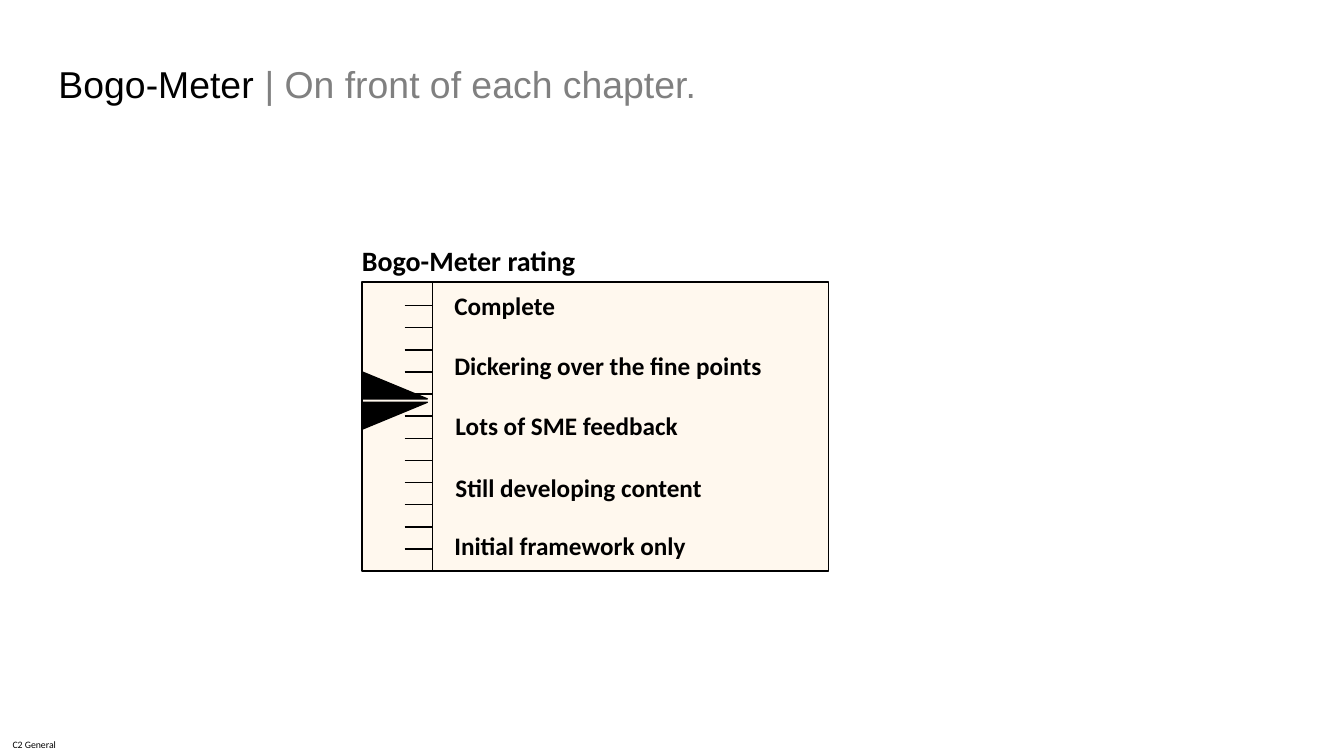
from pptx import Presentation
from pptx.dml.color import RGBColor
from pptx.enum.shapes import MSO_CONNECTOR, MSO_SHAPE
from pptx.enum.text import MSO_ANCHOR, MSO_AUTO_SIZE, PP_ALIGN
from pptx.oxml.ns import qn
from pptx.util import Cm, Pt
from lxml import etree

STRAIGHT = MSO_CONNECTOR.STRAIGHT
RECT, TRIANGLE = MSO_SHAPE.RECTANGLE, MSO_SHAPE.RIGHT_TRIANGLE
TOP, MIDDLE = MSO_ANCHOR.TOP, MSO_ANCHOR.MIDDLE
LEFT, CENTER = PP_ALIGN.LEFT, PP_ALIGN.CENTER
GROW = MSO_AUTO_SIZE.SHAPE_TO_FIT_TEXT
NO_AUTOSIZE = MSO_AUTO_SIZE.NONE

COLORS = {"ink": "000000", "muted": "808080", "paper": "FFFFFF", "cream": "FFF8EE"}

# Rating, then the left and top of its box inside the scale, and its width, in cm
RATINGS = [
    ("Complete", 2.08, 0.08, 3.07),
    ("Dickering over the fine points", 2.08, 1.6, 8.33),
    ("Lots of SME feedback", 2.11, 3.1, 6.17),
    ("Still developing content", 2.11, 4.67, 6.76),
    ("Initial framework only", 2.08, 6.12, 6.4),
]
TICK_COUNT = 13


def rgb(name):
    return RGBColor.from_string(COLORS[name])


def format_run(r, size, font="Calibri", color="ink", bold=False):
    r.font.name, r.font.size, r.font.bold = font, Pt(size), bold
    r.font.color.rgb = rgb(color)


def add_block(s, kind, box, fill, line):
    """Add a preset shape; box is left, top, width, height in cm."""
    sp = s.shapes.add_shape(kind, *map(Cm, box))
    sp.shadow.inherit = False
    sp.fill.solid()
    sp.fill.fore_color.rgb = rgb(fill)
    sp.line.color.rgb = rgb(line)
    sp.line.width = Pt(1)
    return sp


def add_label(s, text, box, size, bold=False):
    sp = s.shapes.add_textbox(*map(Cm, box))
    tf = sp.text_frame
    tf.text = text
    tf.word_wrap = False
    tf.auto_size = GROW
    format_run(tf.paragraphs[0].runs[0], size, bold=bold)
    return tf


def add_rule(s, x1, y1, x2, y2):
    line = s.shapes.add_connector(STRAIGHT, Cm(x1), Cm(y1), Cm(x2), Cm(y2))
    line.line.color.rgb = rgb("ink")
    line.line.width = Pt(1)
    etree.SubElement(line.element.spPr, qn("a:effectLst"))


def add_title(s, left, top, width, height):
    title = s.shapes.title
    title.left, title.top, title.width, title.height = map(Cm, (left, top, width, height))
    tf = title.text_frame
    tf.vertical_anchor = MIDDLE
    tf.word_wrap = True
    tf.auto_size = NO_AUTOSIZE
    p = tf.paragraphs[0]
    p.alignment = LEFT
    p.line_spacing = 0.9
    for text, color in (("Bogo-Meter ", "ink"), ("| On front of each chapter.", "muted")):
        r = p.add_run()
        r.text = text
        format_run(r, 26.7, "Arial", color)


def add_footer(s, left, top, width, height):
    tf = add_label(s, "C2 General", (left, top, width, height), 7)
    tf.margin_left = tf.margin_right = tf.margin_top = tf.margin_bottom = 0
    tf.vertical_anchor = MIDDLE
    tf.word_wrap = True
    tf.paragraphs[0].alignment = CENTER


def add_needle(s, left, top, width, height):
    """Add two mirrored triangles with a thin gap between them."""
    half, step = 0.47 * height, 0.53 * height
    add_block(s, TRIANGLE, (left, top, width, half), "ink", "ink")
    lower = add_block(s, TRIANGLE, (left, top + step, width, half), "ink", "ink")
    lower.element.spPr.get_or_add_xfrm().set("flipV", "1")


def add_scale(s, left, top, width, height):
    add_block(s, RECT, (left, top, width, height), "cream", "ink")
    axis = left + 1.78
    bottom = top + height
    add_rule(s, axis, top, axis, bottom)
    first = top + 0.59
    gap = (bottom - first) / (TICK_COUNT - 1)
    for i in range(TICK_COUNT):
        y = first + i * gap
        add_rule(s, axis - 0.7, y, axis, y)
    for text, dx, dy, label_width in RATINGS:
        add_label(s, text, (left + dx, top + dy, label_width, 1.02), 18, bold=True)
    add_needle(s, left, top + 2.26, 1.65, 1.45)


def add_meter(s, left, top, width, height):
    panel = add_block(s, RECT, (left, top, width, height), "paper", "paper")
    tf = panel.text_frame
    tf.text = "Bogo-Meter rating"
    tf.vertical_anchor = TOP
    tf.margin_left = Cm(0.69)
    p = tf.paragraphs[0]
    p.alignment = LEFT
    format_run(p.runs[0], 20, bold=True)
    add_scale(s, left + 0.69, top + 1.09, 11.76, 7.28)


def main():
    prs = Presentation()
    prs.slide_width, prs.slide_height = Cm(33.87), Cm(19.05)
    s = prs.slides.add_slide(prs.slide_layouts[5])
    add_footer(s, 0, 18.47, 1.73, 0.58)
    add_title(s, 1.22, 1.35, 27.69, 1.63)
    add_meter(s, 8.43, 6.02, 13.13, 9.04)
    prs.save("out.pptx")


if __name__ == "__main__":
    main()
